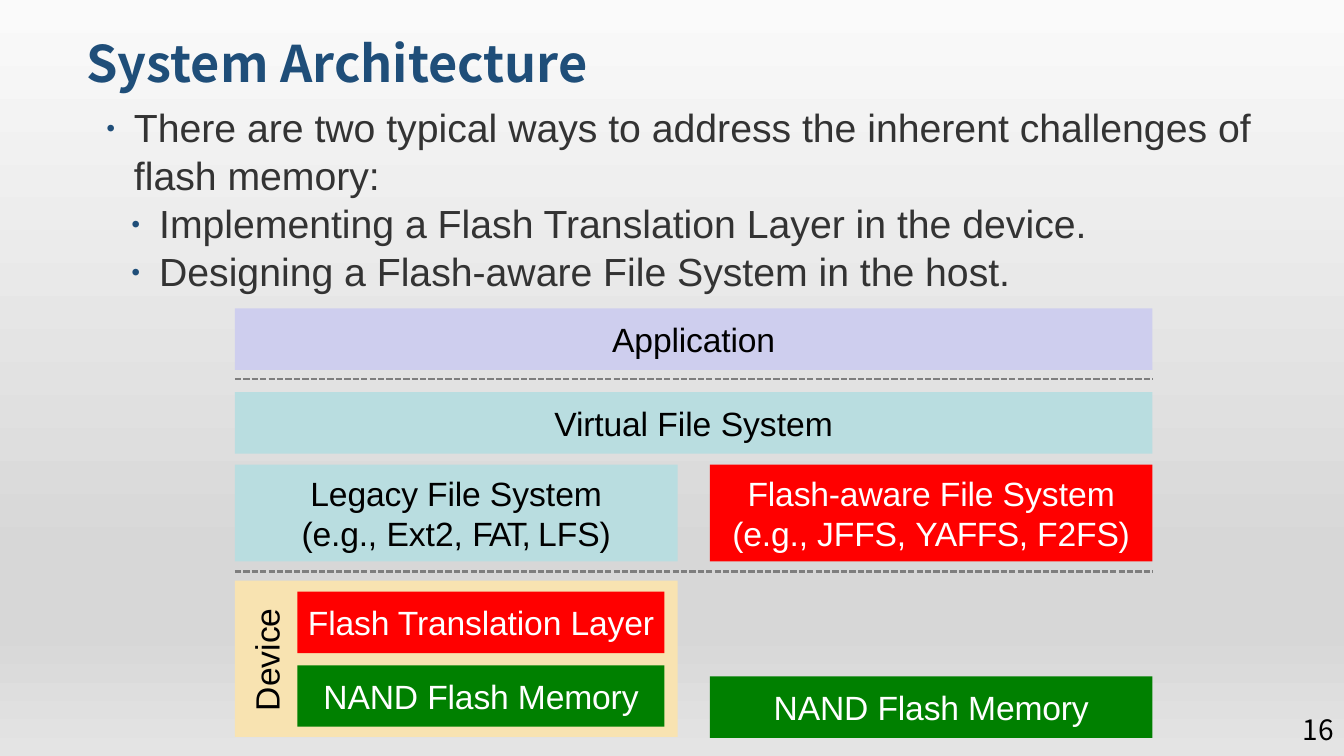
"""Build the System Architecture slide of flash storage layers."""
from pptx import Presentation
from pptx.dml.color import RGBColor
from pptx.enum.dml import MSO_LINE
from pptx.enum.shapes import MSO_CONNECTOR, MSO_SHAPE
from pptx.enum.text import MSO_ANCHOR, PP_ALIGN
from pptx.oxml.ns import qn
from pptx.util import Inches, Pt
from lxml import etree

RECT, LINE, DASH = MSO_SHAPE.RECTANGLE, MSO_CONNECTOR.STRAIGHT, MSO_LINE.SQUARE_DOT
TOP, MID, LOW = MSO_ANCHOR.TOP, MSO_ANCHOR.MIDDLE, MSO_ANCHOR.BOTTOM
START, MIDDLE, END = PP_ALIGN.LEFT, PP_ALIGN.CENTER, PP_ALIGN.RIGHT

SANS, HEAD = "Arial", "Noto Sans CJK TC"
NAVY, BLACK, WHITE = "1F4E79", "000000", "FFFFFF"
LILAC, TEAL, RED, GREEN, SAND = "CECEEE", "B9DDE0", "FF0000", "008000", "F8E3B1"
STOPS = [(0, "FAFAFA"), (74, "D7D7D7"), (83, "D7D7D7"), (100, "E4E4E4")]

POINTS = [
    (0, "There are two typical ways to address the inherent challenges of flash memory:"),
    (1, "Implementing a Flash Translation Layer in the device."),
    (1, "Designing a Flash-aware File System in the host."),
]

LEFT, WIDE, COL, INNER = 2.33, 9.1, 4.39, 3.64
RIGHT, INSET = LEFT + WIDE - COL, LEFT + 0.62
ROW, TALL = 0.61, 0.96

APP = [[("Application", -0.1)]]
VFS = [[("Virtual ", -0.1), ("File System", 0)]]
LEGACY = [[("Legacy File ", -0.1), ("System", 0)],
          [("(e.g., ", -0.1), ("Ext2, ", 0), ("FAT, ", -1.5), ("LFS)", 0)]]
AWARE = [[("Flash-aware File ", -0.1), ("System", 0)],
         [("(e.g., JFFS, ", -0.1), ("YAFFS, ", -0.3), ("F2FS)", -0.1)]]
FTL = [[("Flash Translation Layer", -0.1)]]
NAND = [[("NAND Flash Memory", -0.1)]]

BOXES = [
    (LEFT, 3.06, WIDE, ROW, LILAC, BLACK, APP),
    (LEFT, 3.89, WIDE, ROW, TEAL, BLACK, VFS),
    (LEFT, 4.61, COL, TALL, TEAL, BLACK, LEGACY),
    (RIGHT, 4.61, COL, TALL, RED, WHITE, AWARE),
    (LEFT, 5.76, COL, 1.55, SAND, BLACK, []),
    (INSET, 5.87, INNER, ROW, RED, WHITE, FTL),
    (INSET, 6.6, INNER, ROW, GREEN, WHITE, NAND),
    (RIGHT, 6.71, COL, ROW, GREEN, WHITE, NAND),
]
RULES = [3.76, 5.67]


def color(code):
    return RGBColor.from_string(code)


def add_run(para, text, size, hue, face=SANS, bold=False, gap=0):
    run = para.add_run()
    run.text = text
    font = run.font
    font.size, font.name, font.bold = Pt(size), face, bold
    font.color.rgb = color(hue)
    if gap:
        run._r.get_or_add_rPr().set("spc", str(round(gap * 100)))


def set_frame(shape, anchor, pad=None):
    frame = shape.text_frame
    frame.word_wrap = True
    frame.vertical_anchor = anchor
    if pad is not None:
        frame.margin_left = frame.margin_right = Inches(pad)
        frame.margin_top = frame.margin_bottom = Inches(pad)
    return frame


def add_text(slide, area, anchor, pad=None):
    return set_frame(slide.shapes.add_textbox(*map(Inches, area)), anchor, pad)


def next_para(frame, index):
    return frame.add_paragraph() if index else frame.paragraphs[0]


def paint_back(slide):
    fill = slide.background.fill
    fill.gradient()
    fill.gradient_angle = 270
    stops = next(slide._element.iter(qn("a:gsLst")))
    for old in list(stops):
        stops.remove(old)
    for spot, code in STOPS:
        stop = etree.SubElement(stops, qn("a:gs"), pos=str(spot * 1000))
        etree.SubElement(stop, qn("a:srgbClr"), val=code)


def add_bullet(para, indent):
    props = para._p.get_or_add_pPr()
    props.set("marL", str(Inches(indent)))
    props.set("indent", str(Inches(-0.38)))
    hue = etree.SubElement(props, qn("a:buClr"))
    etree.SubElement(hue, qn("a:srgbClr"), val=NAVY)
    etree.SubElement(props, qn("a:buSzPct"), val="80000")
    etree.SubElement(props, qn("a:buFont"), typeface=HEAD)
    etree.SubElement(props, qn("a:buChar"), char="•")


def add_points(slide):
    frame = add_text(slide, (0.84, 0.98, 12.13, 2.05), TOP)
    for index, (level, text) in enumerate(POINTS):
        para = next_para(frame, index)
        para.level = level
        if index:
            para.space_before = Pt(1)
        add_bullet(para, 0.39 + 0.25 * level)
        add_run(para, text, 28, "333333")


def add_box(slide, left, top, width, height, fill, ink, lines):
    area = map(Inches, (left, top, width, height))
    box = slide.shapes.add_shape(RECT, *area)
    box.shadow.inherit = False
    box.fill.solid()
    box.fill.fore_color.rgb = color(fill)
    box.line.fill.background()
    frame = set_frame(box, MID, 0)
    for index, runs in enumerate(lines):
        para = next_para(frame, index)
        para.alignment = MIDDLE
        for text, gap in runs:
            add_run(para, text, 24, ink, gap=gap)


def add_rule(slide, top):
    ends = map(Inches, (LEFT, top, LEFT + WIDE, top))
    rule = slide.shapes.add_connector(LINE, *ends)
    rule.line.color.rgb = color("7E7E7E")
    rule.line.width = Pt(1.5)
    rule.line.dash_style = DASH
    etree.SubElement(rule._element.spPr, qn("a:effectLst"))


def main():
    deck = Presentation()
    deck.slide_width, deck.slide_height = Inches(13.33), Inches(7.5)
    slide = deck.slides.add_slide(deck.slide_layouts[6])
    paint_back(slide)

    title = add_text(slide, (0.76, 0.21, 11.81, 0.77), LOW).paragraphs[0]
    title.alignment, title.line_spacing = START, 0.9
    add_run(title, "System Architecture", 36, NAVY, HEAD, True)
    add_points(slide)

    for box in BOXES:
        add_box(slide, *box)
    for top in RULES:
        add_rule(slide, top)

    device = add_text(slide, (2.44, 6.02, 0.4, 1.05), MID, 0)
    device._txBody.bodyPr.set("vert", "vert270")
    device.paragraphs[0].alignment = MIDDLE
    add_run(device.paragraphs[0], "Device", 24, BLACK)

    number = add_text(slide, (12.08, 7.14, 1.25, 0.2), MID).paragraphs[0]
    number.alignment = END
    add_run(number, "16", 20, BLACK, HEAD)
    deck.save("out.pptx")


if __name__ == "__main__":
    main()
